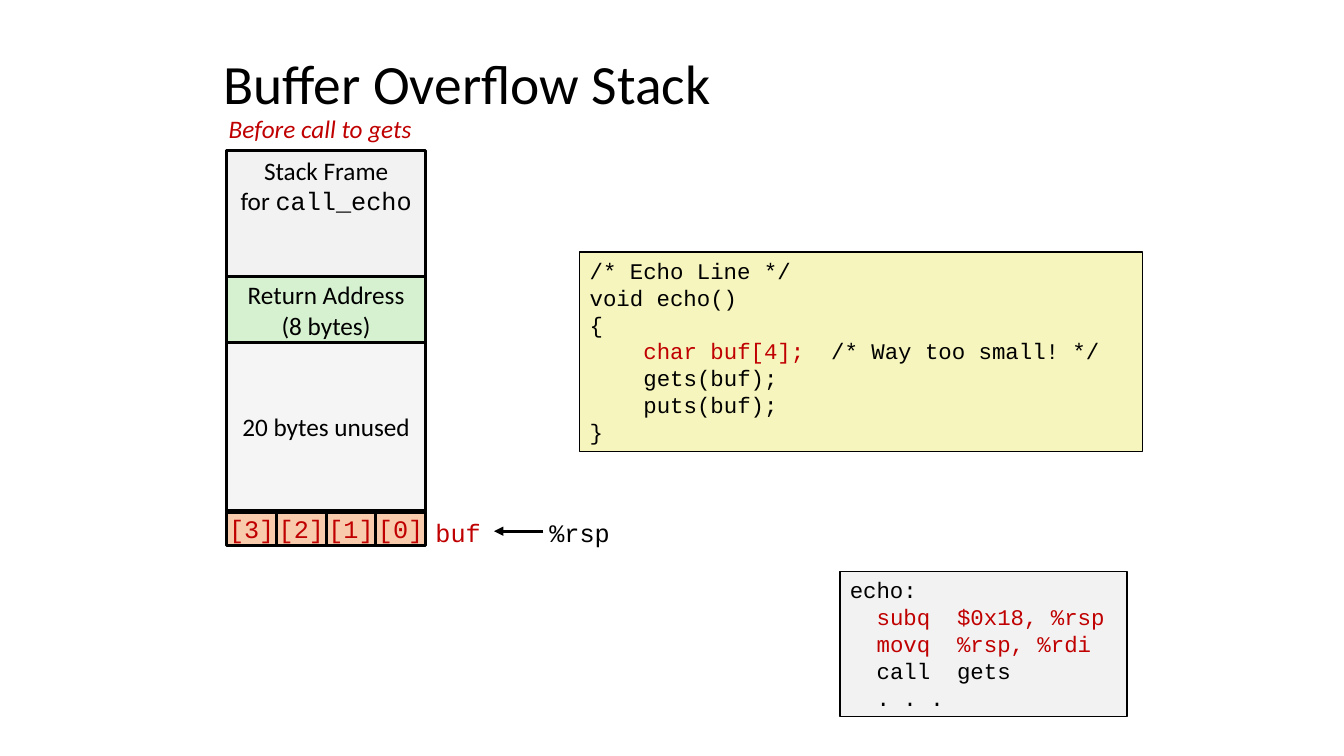
from lxml import etree
from pptx import Presentation
from pptx.dml.color import RGBColor
from pptx.enum import shapes, text
from pptx.oxml import ns
from pptx.util import Inches, Pt

BLACK, RED = "000000", "C00000"
GRAY, PALE_GRAY = "F2F2F2", "F5F5F5"
GREEN, ORANGE, YELLOW = "D5F1CF", "F8CBAD", "F6F5BD"
SANS, MONO = "Calibri", "Courier New"
TOP, MIDDLE = text.MSO_ANCHOR.TOP, text.MSO_ANCHOR.MIDDLE
LEFT, CENTER = text.PP_ALIGN.LEFT, text.PP_ALIGN.CENTER

deck = Presentation()
deck.slide_width, deck.slide_height = Inches(13.33), Inches(7.5)
page = deck.slides.add_slide(deck.slide_layouts[6])


def rgb(value):
    return RGBColor.from_string(value)


def add_text(place, lines, fill=None, border=2.25, size=18, font=SANS, color=BLACK,
             italic=False, align=LEFT, anchor=TOP, wrap=False, spacing=1.0):
    """Add a text box, or a bordered rectangle if fill is given.

    A line is (indent in characters, span, ...); a span is (text, colour, font),
    where colour and font may be left out.
    """
    place = [Inches(value) for value in place]
    if fill:
        box = page.shapes.add_shape(shapes.MSO_SHAPE.RECTANGLE, *place)
        box.shadow.inherit = False
        box.fill.solid()
        box.fill.fore_color.rgb = rgb(fill)
        box.line.color.rgb = rgb(BLACK)
        box.line.width = Pt(border)
    else:
        box = page.shapes.add_textbox(*place)
    frame = box.text_frame
    frame.word_wrap = wrap
    frame.vertical_anchor = anchor
    for number, (indent, *spans) in enumerate(lines):
        para = frame.add_paragraph() if number else frame.paragraphs[0]
        para.alignment = align
        para.line_spacing = spacing
        if indent:
            # A Courier New character is 0.6 em wide.
            para._p.get_or_add_pPr().set("marL", str(Pt(indent * size * 0.6)))
        for words, *style in spans:
            span = para.add_run()
            span.text = words
            span.font.size = Pt(size)
            span.font.italic = italic
            span.font.color.rgb = rgb(style[0] if style else color)
            span.font.name = style[1] if len(style) > 1 else font


add_text((2.12, 0.54, 7.1, 0.63), [(0, ("Buffer Overflow Stack",))],
         size=39.6, anchor=MIDDLE, wrap=True, spacing=0.9)
add_text((2.17, 1.08, 2.09, 0.4), [(0, ("Before call to gets",))], color=RED, italic=True)

# Stack, from high to low addresses
STACK_LEFT, STACK_WIDTH = 2.25, 1.97
BUF_TOP, BUF_SIZE = 5.08, 4
stack_frames = [
    (1.49, 1.25, GRAY, TOP, [(0, ("Stack Frame",)),
                             (0, ("for ",), ("call_echo", BLACK, MONO))]),
    (2.74, 0.67, GREEN, MIDDLE, [(0, ("Return Address",)), (0, ("(8 bytes)",))]),
    (3.4, 1.67, PALE_GRAY, MIDDLE, [(0, ("20 bytes unused",))]),
]
for top, height, fill, anchor, lines in stack_frames:
    add_text((STACK_LEFT, top, STACK_WIDTH, height), lines,
             fill=fill, align=CENTER, anchor=anchor)

cell_width = STACK_WIDTH / BUF_SIZE
for column in range(BUF_SIZE):
    add_text((STACK_LEFT + column * cell_width, BUF_TOP, cell_width, 0.33),
             [(0, (f"[{BUF_SIZE - 1 - column}]",))], fill=ORANGE, font=MONO,
             color=RED, align=CENTER, anchor=MIDDLE)

# Stack pointer
add_text((4.22, BUF_TOP, 0.65, 0.4), [(0, ("buf",))], font=MONO, color=RED)
add_text((5.35, BUF_TOP, 0.81, 0.4), [(0, ("%rsp",))], font=MONO)
arrow = page.shapes.add_connector(shapes.MSO_CONNECTOR.STRAIGHT, Inches(5.39), Inches(5.27),
                                  Inches(4.9), Inches(5.27))
arrow.line.color.rgb = rgb(BLACK)
arrow.line.width = Pt(2.25)
etree.SubElement(arrow.line._get_or_add_ln(), ns.qn("a:tailEnd"), type="triangle")
etree.SubElement(arrow._element.spPr, ns.qn("a:effectLst"))

# Code listings
echo_source = [
    (0, ("/* Echo Line */",)),
    (0, ("void echo()",)),
    (0, ("{",)),
    (4, ("char buf[4];  ", RED), ("/* Way too small! */",)),
    (4, ("gets(buf);",)),
    (4, ("puts(buf);",)),
    (0, ("}",)),
]
echo_assembly = [
    (0, ("echo:",)),
    (2, ("subq  $0x18, %rsp", RED)),
    (2, ("movq  %rsp, %rdi", RED)),
    (2, ("call  gets",)),
    (2, (". . .",)),
]
for place, fill, lines in [((5.75, 2.5, 5.58, 1.98), YELLOW, echo_source),
                           ((8.33, 5.67, 2.85, 1.44), GRAY, echo_assembly)]:
    add_text(place, lines, fill=fill, border=1, size=16, font=MONO, wrap=True)

deck.save("out.pptx")
